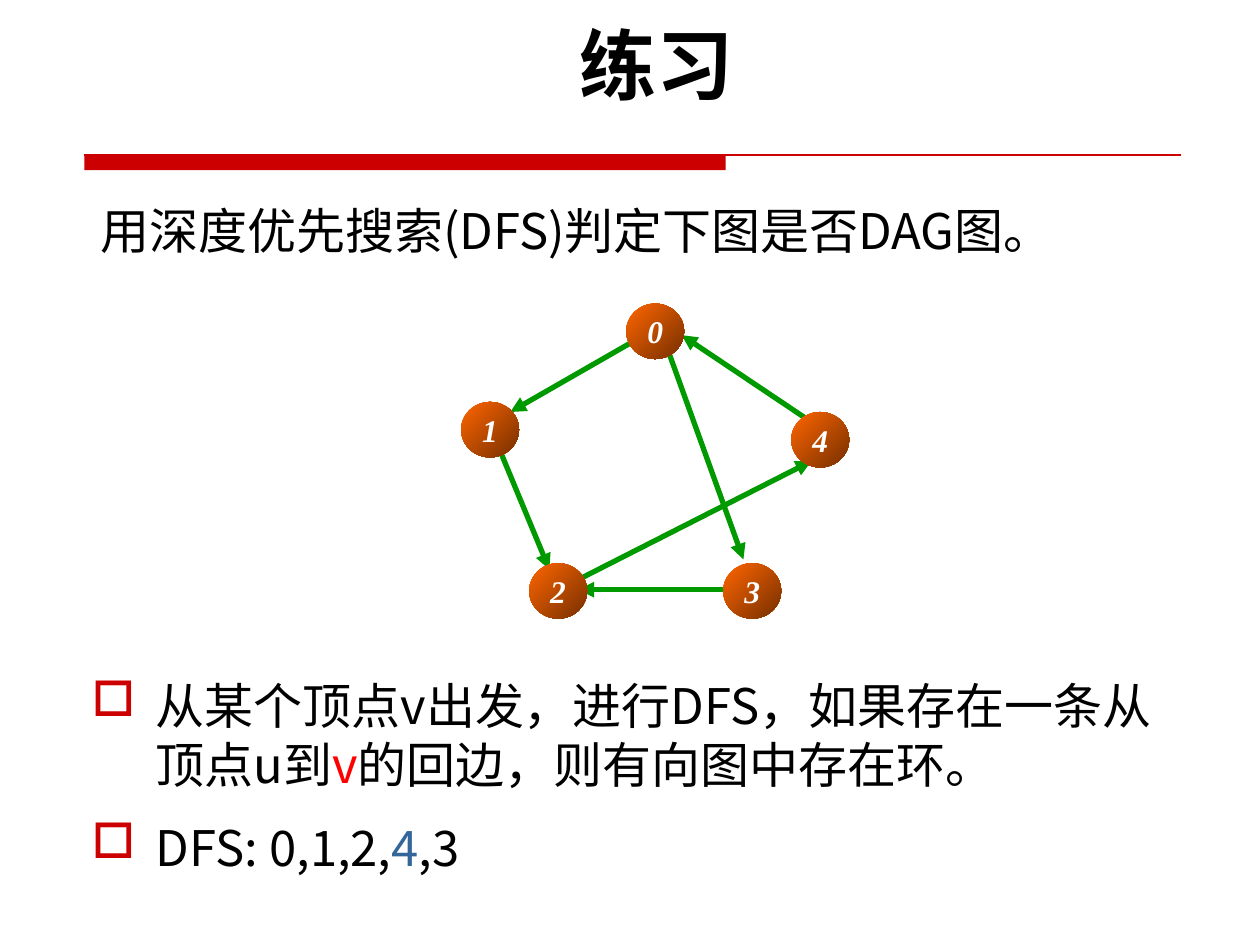
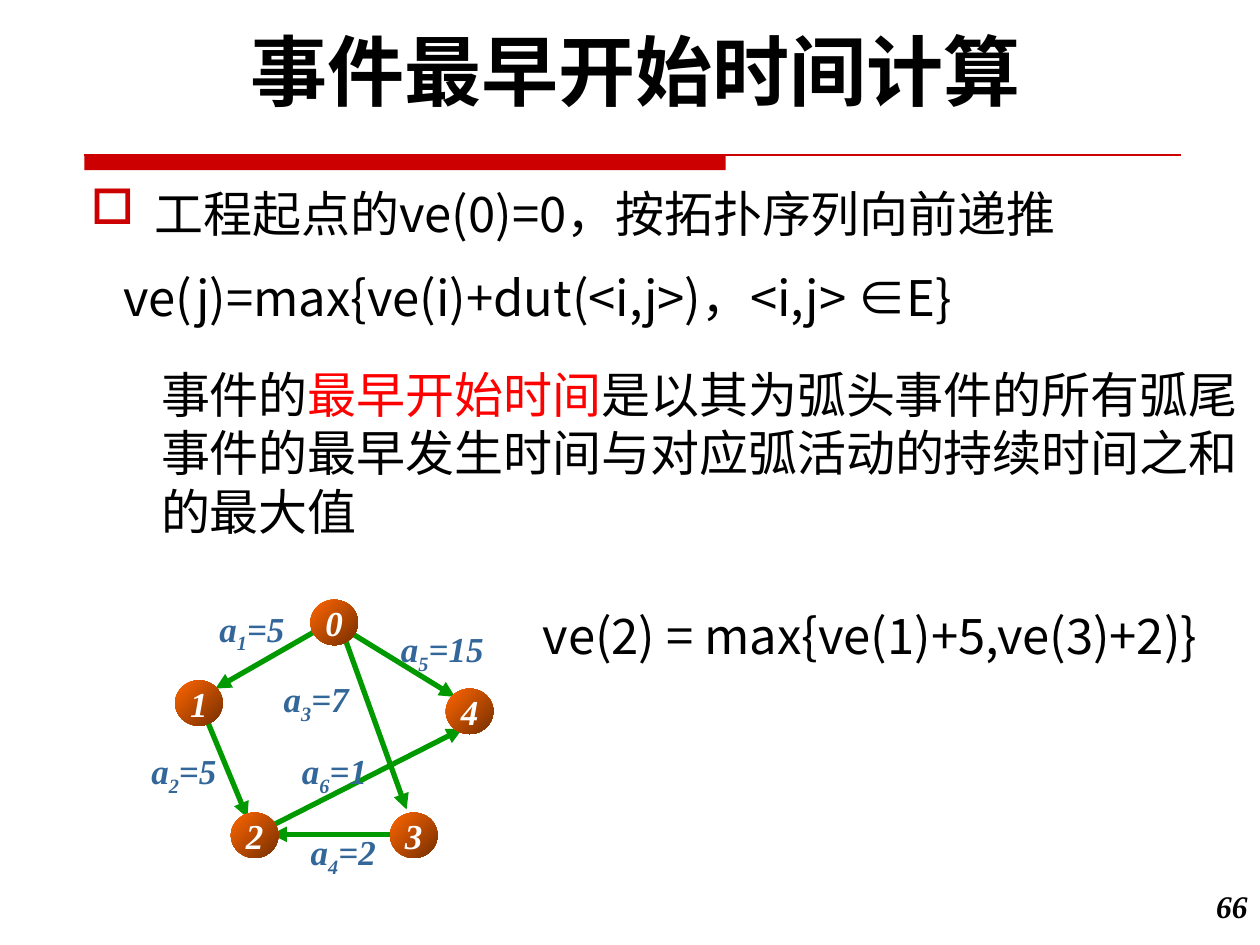
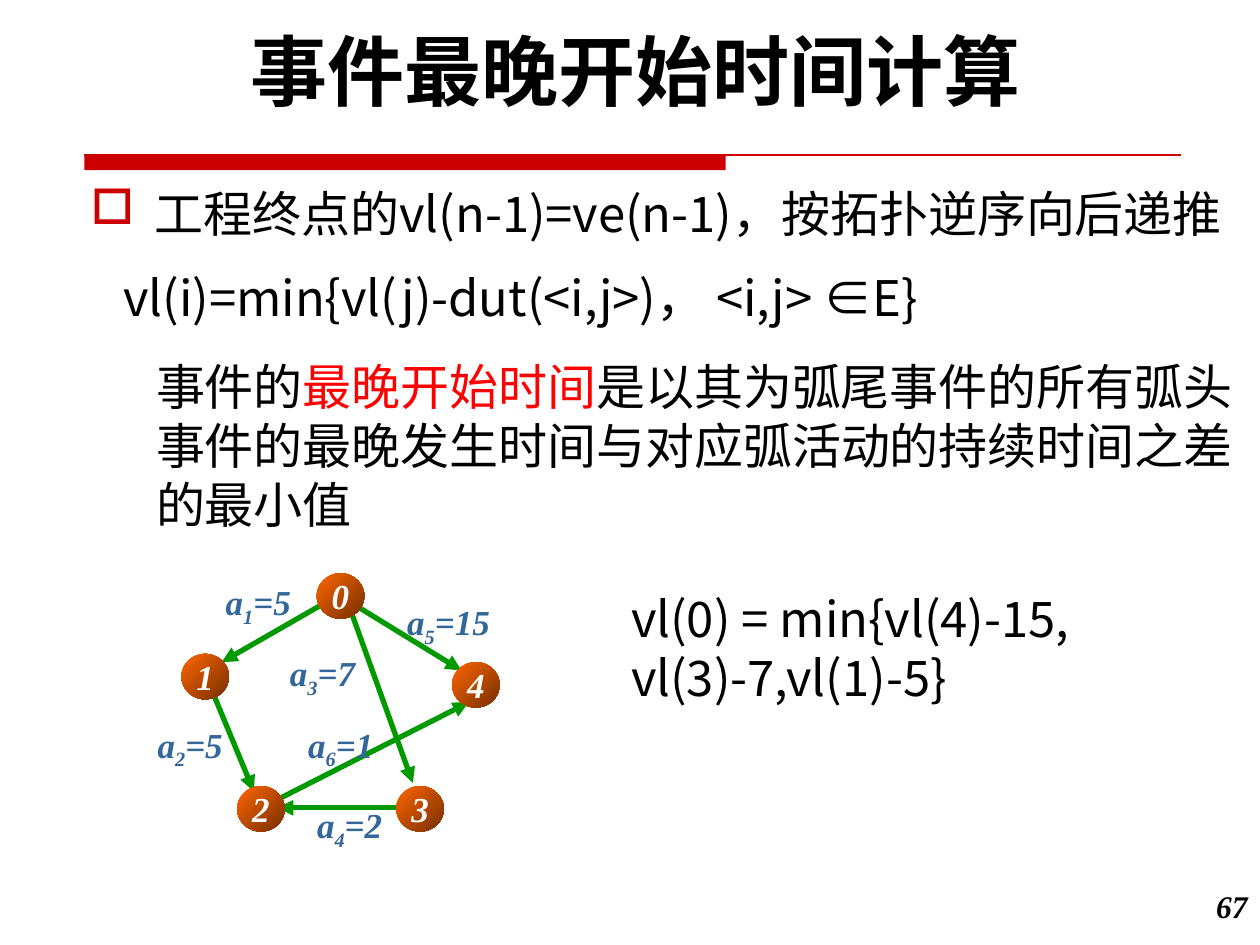
"""Three slides on directed graphs: a cycle check, then earliest and latest event times."""
from lxml.etree import SubElement as Sub
from pptx import Presentation
from pptx.dml.color import RGBColor as RGB
from pptx.enum.shapes import MSO_CONNECTOR as LINK, MSO_SHAPE as SHAPE
from pptx.enum.text import MSO_ANCHOR as ANCHOR, PP_ALIGN as ALIGN
from pptx.oxml.ns import qn
from pptx.util import Inches, Pt

WIDTH, HEIGHT = Inches(10), Inches(7.5)
COL, ROW = WIDTH / 100, HEIGHT / 75
HEX = dict(black="000000", white="FFFFFF", band="CC0000", red="FF0000",
           blue="336699", green="009900", warm="FF6600", dark="762F00")
HEAD, BODY, MATH = "Lato", "Noto Sans CJK SC", "Times New Roman"
HANG = 5.1

NODE = (4.6, 4.4)
NODES = {"0": (13.1, 0), "1": (0, 7.8), "2": (5.4, 20.6),
         "3": (20.8, 20.6), "4": (26.2, 8.6)}
EDGES = {"01": (14.7, 2.4, 3.9, 8.6), "12": (3.1, 11.7, 7, 21.1),
         "03": (16.2, 3.1, 22.4, 20.3), "32": (20.8, 22.7, 9.3, 22.7),
         "24": (9.3, 21.9, 27.8, 12.5), "40": (27.5, 9.2, 17.5, 2.5),
         "04": (17, 3.2, 27.1, 9.4)}
CYCLE = ("01", "12", "03", "32", "24", "40")
TIMED = ("01", "12", "03", "32", "24", "04")
COSTS = [("1", 5, 6.1, 0.1), ("2", 5, 0.7, 11.4), ("3", 7, 11.2, 5.7),
         ("4", 2, 13.35, 17.8), ("5", 15, 21.2, 1.7), ("6", 1, 12.65, 11.4)]


def color(name):
    return RGB.from_string(HEX[name])


def grid(x, y, w, h):
    return [round(n) for n in (x * COL, y * ROW, w * COL, h * ROW)]


def write(par, runs, size, font=BODY, ink="black", bold=False, slant=False, align=None):
    par.alignment = align
    style = par.font
    style.name, style.size = font, Pt(size)
    style.bold, style.italic = bold, slant
    style.color.rgb = color(ink)
    base = par._p.pPr.find(qn("a:defRPr"))
    Sub(base, qn("a:ea")).set("typeface", BODY)
    for text, *tint in [(runs,)] if isinstance(runs, str) else runs:
        run = par.add_run()
        run.text = text
        if tint == ["low"]:
            run._r.get_or_add_rPr().set("baseline", "-25000")
        elif tint:
            run.font.color.rgb = color(tint[0])


def text_box(slide, place, runs, size=28, anchor=ANCHOR.TOP, side=1, space=None, **style):
    frame = slide.shapes.add_textbox(*grid(*place)).text_frame
    frame.word_wrap, frame.vertical_anchor = True, anchor
    frame.margin_left = frame.margin_right = round(side * COL)
    par = frame.paragraphs[0]
    par.line_spacing = space
    write(par, runs, size, **style)
    return frame


def indent(par, left, first=0):
    props = par._p.get_or_add_pPr()
    props.set("marL", str(round(left * COL)))
    props.set("indent", str(round(first * COL)))


def bullet(par):
    indent(par, HANG, -HANG)
    base = par._p.pPr.find(qn("a:defRPr"))
    tint, mark = [base.makeelement(qn(tag), {}) for tag in ("a:buClr", "a:buChar")]
    Sub(tint, qn("a:srgbClr")).set("val", HEX["band"])
    mark.set("char", "□")
    base.addprevious(tint)
    base.addprevious(mark)


def add_par(frame, runs):
    par = frame.add_paragraph()
    par.space_before = Pt(14)
    write(par, runs, 28)
    return par


def line(slide, ends, ink, width, arrow=False):
    link = slide.shapes.add_connector(LINK.STRAIGHT, *grid(*ends))
    link.line.color.rgb, link.line.width = color(ink), Pt(width)
    if arrow:
        Sub(link.line._get_or_add_ln(), qn("a:tailEnd")).set("type", "triangle")
    Sub(link._element.spPr, qn("a:effectLst"))


def node(slide, place, name, size):
    disc = slide.shapes.add_shape(SHAPE.OVAL, *grid(*place))
    disc.shadow.inherit = False
    disc.line.fill.background()
    disc.fill.gradient()
    disc.fill.gradient_angle = 315
    for stop, ink in zip(disc.fill.gradient_stops, ("warm", "dark")):
        stop.color.rgb = color(ink)
    frame = disc.text_frame
    frame.word_wrap, frame.vertical_anchor = False, ANCHOR.MIDDLE
    frame.margin_left = frame.margin_right = 0
    write(frame.paragraphs[0], name, size, MATH, "white", True, True, ALIGN.CENTER)


def graph(slide, left, top, edges, size, scale=1.0):
    def put(x, y):
        return left + x * scale, top + y * scale

    for edge in edges:
        x1, y1, x2, y2 = EDGES[edge]
        line(slide, put(x1, y1) + put(x2, y2), "green", 3, arrow=True)
    for name, spot in NODES.items():
        node(slide, put(*spot) + tuple(n * scale for n in NODE), name, size)


def costs(slide, left, top):
    for name, cost, x, y in COSTS:
        text_box(slide, (left + x - 4.5, top + y, 9 if cost < 10 else 8.2, 4.3)
                 if cost < 10 else (left + x - 4.1, top + y, 8.2, 4.3),
                 [("a",), (name, "low"), (f"={cost}",)], 20, side=0, font=MATH,
                 ink="blue", bold=True, slant=True, align=ALIGN.CENTER)


def start(deck, title, place, space=None):
    slide = deck.slides.add_slide(deck.slide_layouts[6])
    band = slide.shapes.add_shape(SHAPE.RECTANGLE, *grid(6.7, 12.3, 50.9, 1.2))
    band.shadow.inherit = False
    band.fill.solid()
    band.fill.fore_color.rgb = color("band")
    band.line.fill.background()
    line(slide, (6.7, 12.3, 93.7, 12.3), "band", 0.75)
    text_box(slide, place, title, 44, space=space, font=HEAD, bold=True, align=ALIGN.CENTER)
    return slide


def event(deck, title, page, rule, sum_up, note, note_at, spot, case, case_at):
    slide = start(deck, title, (4.2, 1.4, 92.5, 8.4))
    frame = text_box(slide, (6.2, 14.1, 95.8, 13.2), rule)
    bullet(frame.paragraphs[0])
    indent(add_par(frame, sum_up), 2.6)
    text_box(slide, (93.3, 69.9, 6.7, 4), page, 18, font=MATH, bold=True,
             slant=True, align=ALIGN.RIGHT)
    text_box(slide, note_at, note)
    graph(slide, *spot, TIMED, 20, 0.82)
    costs(slide, *spot)
    text_box(slide, case_at, case)


def main():
    deck = Presentation()
    deck.slide_width, deck.slide_height = WIDTH, HEIGHT

    slide = start(deck, "练习", (6.7, 1.7, 90.8, 8.3), 0.9)
    text_box(slide, (7, 14.1, 89.8, 7), "用深度优先搜索(DFS)判定下图是否DAG图。",
             anchor=ANCHOR.BOTTOM, space=1.5)
    graph(slide, 36.6, 24.1, CYCLE, 18)
    frame = text_box(slide, (6.3, 53.1, 86.7, 19.7),
                     [("从某个顶点v出发，进行DFS，如果存在一条从顶点u到",), ("v", "red"),
                      ("的回边，则有向图中存在环。",)])
    bullet(frame.paragraphs[0])
    bullet(add_par(frame, [("DFS: 0,1,2,",), ("4", "blue"), (",3",)]))

    event(deck, "事件最早开始时间计算", "66", "工程起点的ve(0)=0，按拓扑序列向前递推",
          "ve(j)=max{ve(i)+dut(<i,j>)，<i,j> ∈E}",
          [("事件的",), ("最早开始时间", "red"),
           ("是以其为弧头事件的所有弧尾事件的最早发生时间与对应弧活动的持续时间之和的最大值",)],
          (11.8, 28.4, 88.2, 15.1), (13.9, 47.6),
          "ve(2) = max{ve(1)+5,ve(3)+2)}", (42.1, 47.6, 56.9, 5.7))
    event(deck, "事件最晚开始时间计算", "67", "工程终点的vl(n-1)=ve(n-1)，按拓扑逆序向后递推",
          "vl(i)=min{vl(j)-dut(<i,j>)， <i,j> ∈E}",
          [("事件的",), ("最晚开始时间", "red"),
           ("是以其为弧尾事件的所有弧头事件的最晚发生时间与对应弧活动的持续时间之差的最小值",)],
          (11.4, 27.8, 87.4, 15.1), (14.4, 45.5),
          "vl(0) = min{vl(4)-15, vl(3)-7,vl(1)-5}", (49.1, 46.2, 43.9, 10.4))
    deck.save("out.pptx")


if __name__ == "__main__":
    main()
